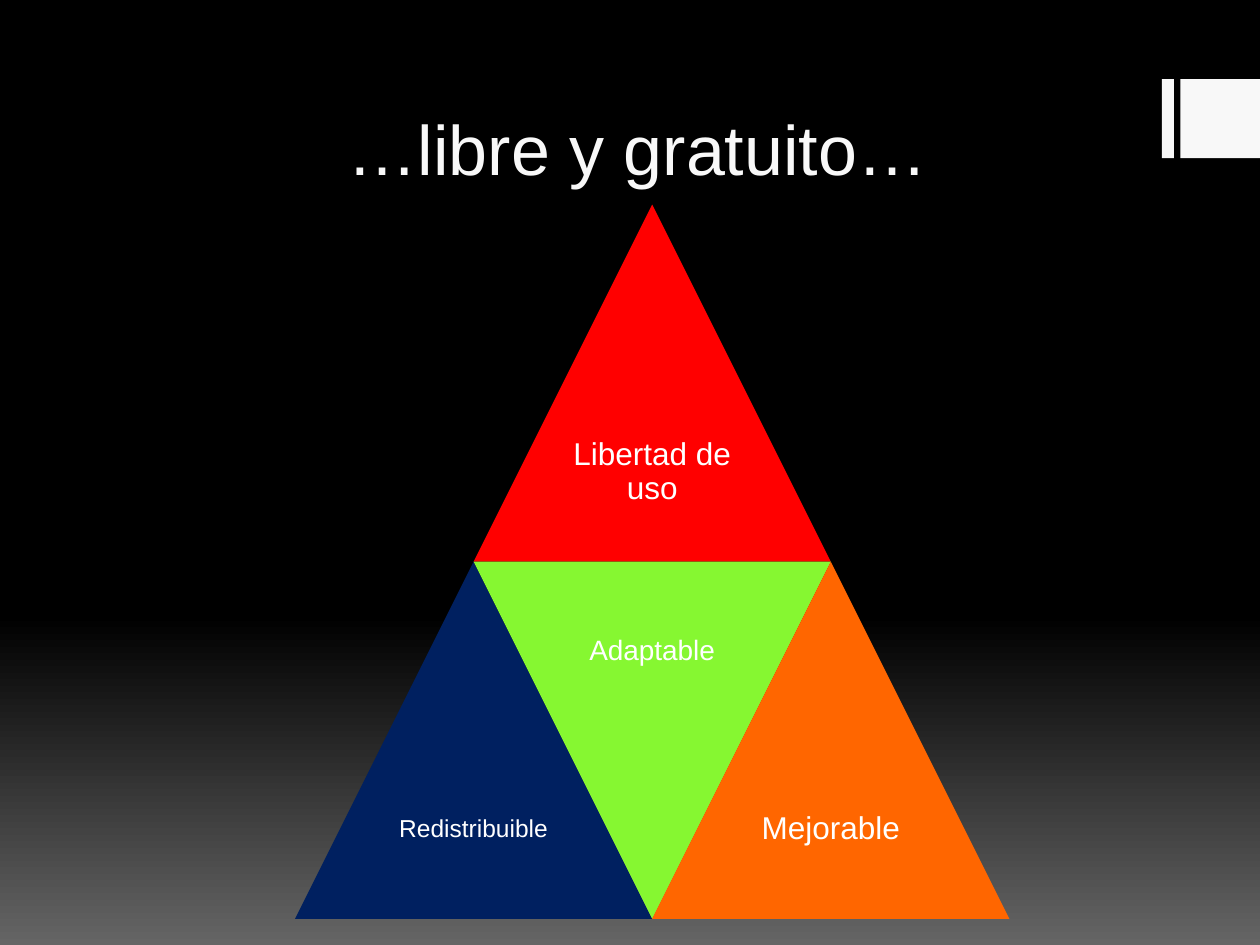
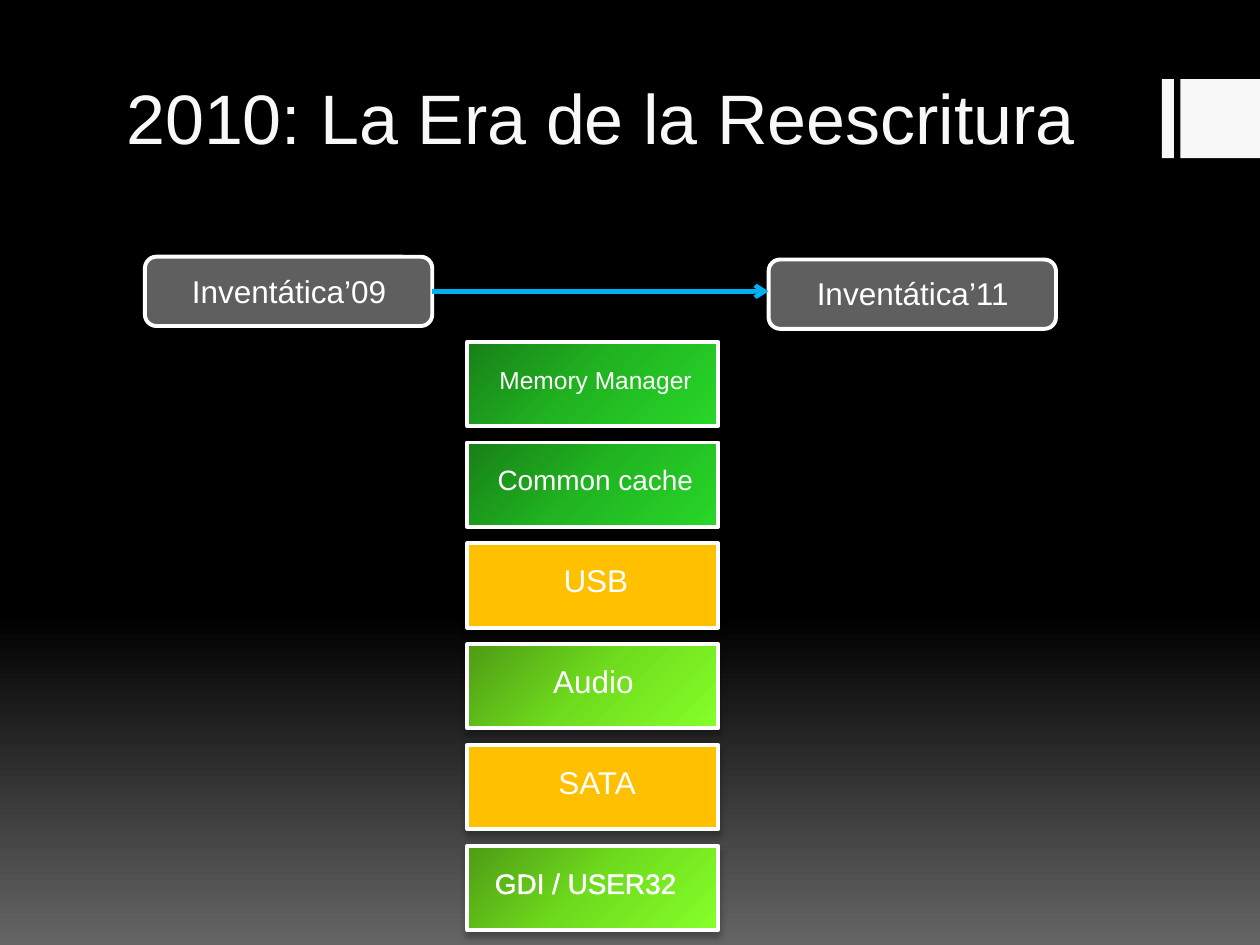
from dataclasses import dataclass
from typing import NamedTuple

from lxml import etree
from pptx import Presentation
from pptx.dml.color import RGBColor
from pptx.enum.shapes import MSO_CONNECTOR, MSO_SHAPE
from pptx.enum.text import MSO_ANCHOR, MSO_AUTO_SIZE, PP_ALIGN
from pptx.oxml.ns import qn
from pptx.util import Pt

RECTANGLE = MSO_SHAPE.RECTANGLE
ROUNDED = MSO_SHAPE.ROUNDED_RECTANGLE
TRIANGLE = MSO_SHAPE.ISOSCELES_TRIANGLE
STRAIGHT = MSO_CONNECTOR.STRAIGHT
LEFT, CENTER = PP_ALIGN.LEFT, PP_ALIGN.CENTER
TOP, MIDDLE, BOTTOM = MSO_ANCHOR.TOP, MSO_ANCHOR.MIDDLE, MSO_ANCHOR.BOTTOM
FIXED, GROW = MSO_AUTO_SIZE.NONE, MSO_AUTO_SIZE.SHAPE_TO_FIT_TEXT


@dataclass(frozen=True)
class Theme:
    font: str = "Arial"
    title_size: int = 40
    large: int = 18
    medium: int = 16
    small: int = 14
    outline: float = 2.25
    arrow_width: float = 2.5
    ink: str = "F8F8F8"
    white: str = "FFFFFF"
    black: str = "000000"
    gray: str = "5F5F5F"
    arrow: str = "00B0F0"
    red: str = "FF0000"
    navy: str = "002060"
    lime: str = "86F731"
    orange: str = "FF6600"
    amber: str = "FFC000"
    background: tuple = ((0, "000000"), (65, "000000"), (100, "656565"))
    green: tuple = ((0, "178017"), (50, "21B621"), (100, "28D728"))
    bright_green: tuple = ((0, "4E9B14"), (50, "6FDD1D"), (100, "85FF29"))


THEME = Theme()


class Box(NamedTuple):
    left: float
    top: float
    width: float
    height: float

    def inner(self, left, top, width, height):
        """Return a box whose corner is offset from this one."""
        return Box(self.left + left, self.top + top, width, height)

    def lengths(self):
        return [Pt(value) for value in self]


def paint_gradient(fill, element, stops, angle):
    """Fill with (percent, colour) stops; the angle runs clockwise."""
    fill.gradient()
    fill.gradient_angle = 360 - angle
    stop_list = next(element.iter(qn("a:gsLst")))
    for stop in list(stop_list):
        stop_list.remove(stop)
    for percent, color in stops:
        stop = etree.SubElement(stop_list, qn("a:gs"), pos=str(percent * 1000))
        etree.SubElement(stop, qn("a:srgbClr"), val=color)


def add_shadow(shape):
    effects = shape.element.spPr.find(qn("a:effectLst"))
    shadow = etree.SubElement(
        effects, qn("a:outerShdw"), blurRad=str(Pt(4)), dist=str(Pt(3)),
        dir="5400000", algn="ctr", rotWithShape="0")
    color = etree.SubElement(shadow, qn("a:srgbClr"), val=THEME.black)
    etree.SubElement(color, qn("a:alpha"), val="28000")


def add_figure(slide, kind, box, fill, framed=False):
    """Add a shape with a colour or gradient; framed adds outline and shadow."""
    shape = slide.shapes.add_shape(kind, *box.lengths())
    shape.shadow.inherit = False
    if isinstance(fill, str):
        shape.fill.solid()
        shape.fill.fore_color.rgb = RGBColor.from_string(fill)
    else:
        paint_gradient(shape.fill, shape.element, fill, 45)
    if framed:
        shape.line.color.rgb = RGBColor.from_string(THEME.white)
        shape.line.width = Pt(THEME.outline)
        add_shadow(shape)
    else:
        shape.line.fill.background()
    return shape


def add_text(slide, box, text, size, color=THEME.white, anchor=TOP,
             inset=None, fit=FIXED):
    text_box = slide.shapes.add_textbox(*box.lengths())
    frame = text_box.text_frame
    frame.word_wrap = True
    frame.vertical_anchor = anchor
    frame.auto_size = fit
    if inset is not None:
        frame.margin_left = frame.margin_right = Pt(inset)
        frame.margin_top = frame.margin_bottom = Pt(inset)
    frame.text = text
    paragraph = frame.paragraphs[0]
    paragraph.alignment = CENTER
    font = paragraph.runs[0].font
    font.name = THEME.font
    font.size = Pt(size)
    font.color.rgb = RGBColor.from_string(color)
    return paragraph


def outline_text(paragraph, width):
    properties = next(paragraph.runs[0].font.color and
                      paragraph._p.iter(qn("a:rPr")))
    line = etree.Element(qn("a:ln"), w=str(Pt(width)))
    solid = etree.SubElement(line, qn("a:solidFill"))
    etree.SubElement(solid, qn("a:srgbClr"), val=THEME.white)
    properties.insert(0, line)


def add_arrow(slide, start, end, level):
    arrow = slide.shapes.add_connector(
        STRAIGHT, Pt(start), Pt(level), Pt(end), Pt(level))
    arrow.line.color.rgb = RGBColor.from_string(THEME.arrow)
    arrow.line.width = Pt(THEME.arrow_width)
    properties = arrow._element.spPr
    line = properties.find(qn("a:ln"))
    etree.SubElement(line, qn("a:tailEnd"), type="arrow")
    etree.SubElement(properties, qn("a:effectLst"))


def add_base_slide(presentation, title, title_box):
    """Add a slide with the shared background, side marks and title."""
    slide = presentation.slides.add_slide(presentation.slide_layouts[6])
    paint_gradient(slide.background.fill, slide.element, THEME.background, 90)
    for left, width in ((664, 6.8), (674.6, 45.4)):
        add_figure(slide, RECTANGLE, Box(left, 45.2, width, 45.2), THEME.ink)
    add_text(slide, title_box, title, THEME.title_size, THEME.ink, BOTTOM)
    return slide


def add_pyramid(slide, box):
    """Split the box into four triangles, the middle one upside down."""
    width, height = box.width / 2, box.height / 2
    pieces = (
        ("Libertad de uso", 0.5, 0, THEME.red, THEME.large),
        ("Redistribuible", 0, 1, THEME.navy, THEME.small),
        ("Adaptable", 0.5, 1, THEME.lime, THEME.medium),
        ("Mejorable", 1, 1, THEME.orange, THEME.large),
    )
    for label, column, row, color, size in pieces:
        piece = box.inner(column * width, row * height, width, height)
        inverted = (column, row) == (0.5, 1)
        triangle = add_figure(slide, TRIANGLE, piece, color)
        triangle.rotation = 180 if inverted else 0
        label_top = 0 if inverted else height / 2
        label_box = piece.inner(width / 4, label_top, width / 2, height / 2)
        paragraph = add_text(slide, label_box, label, size,
                             anchor=MIDDLE, inset=0.27 * size)
        paragraph.line_spacing = 0.9
        paragraph.space_after = Pt(0.35 * size)


def add_milestones(slide, box):
    """Place the two editions at the ends of the box, joined by an arrow."""
    width, height = 164.2, 39.6
    first = box.inner(0, 0, width, height)
    last = box.inner(box.width - width, box.height - height, width, height)
    for edition, milestone in (("09", first), ("11", last)):
        add_figure(slide, ROUNDED, milestone, THEME.gray, framed=True)
        add_text(slide, milestone.inner(8.6, 5, 147.6, 29),
                 f"Inventática’{edition}", THEME.large, fit=GROW)
    add_arrow(slide, first.left + width, last.left, first.top + height / 2)


def add_modules(slide, box):
    """Stack the rewritten modules at equal steps down the box."""
    modules = (
        # label, fill, size, label left, label width, label height
        ("Memory Manager", THEME.green, THEME.small, 2.4, 141.8, 24.2),
        ("Common cache", THEME.green, THEME.medium, 2.9, 140.4, 26.6),
        ("USB", THEME.amber, THEME.large, 10.8, 125.3, 35.3),
        ("Audio", THEME.bright_green, THEME.large, 9.4, 125.3, 35.3),
        ("SATA", THEME.amber, THEME.large, 11.5, 125.3, 35.3),
        ("GDI / USER32", THEME.bright_green, THEME.medium, 8.6, 132.5, 32.4),
    )
    height = 48.2
    step = (box.height - height) / (len(modules) - 1)
    for row, (label, fill, size, left, width, label_height) in enumerate(modules):
        module = box.inner(0, row * step, box.width, height)
        add_figure(slide, RECTANGLE, module, fill, framed=True)
        label_box = module.inner(left, 20 - 0.75 * size, width, label_height)
        paragraph = add_text(slide, label_box, label, size, fit=GROW)
    paragraph.alignment = LEFT
    outline_text(paragraph, 1.45)


def build_freedom_slide(presentation):
    slide = add_base_slide(presentation, "…libre y gratuito…",
                           Box(76.3, 20.9, 576, 90.7))
    add_pyramid(slide, Box(168.6, 116.9, 408.2, 408.2))


def build_rewrite_slide(presentation):
    slide = add_base_slide(presentation, "2010: La Era de la Reescritura",
                           Box(35.3, 3.6, 615.6, 90.7))
    add_milestones(slide, Box(82.8, 146.7, 520.6, 41.2))
    add_modules(slide, Box(267.1, 195.3, 143.3, 336.2))


def main():
    presentation = Presentation()
    presentation.slide_width, presentation.slide_height = Pt(720), Pt(540)
    build_freedom_slide(presentation)
    build_rewrite_slide(presentation)
    presentation.save("out.pptx")


if __name__ == "__main__":
    main()
